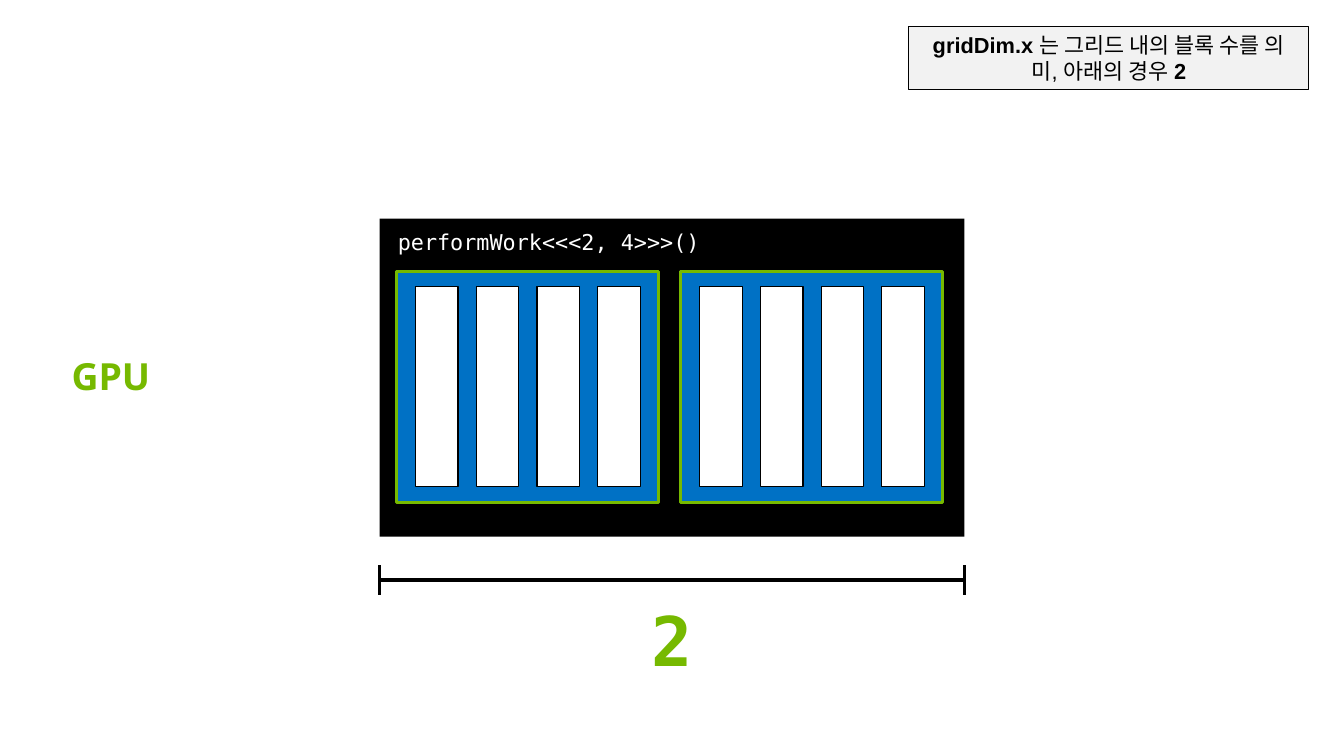
import pptx
import pptx.util
import pptx.dml.color
import pptx.enum.shapes
import pptx.enum.text
import pptx.oxml.ns
import lxml.etree

WIDTH = pptx.util.Inches(12)
HEIGHT = pptx.util.Inches(6.75)
COLORS = {
    "black": "000000",
    "white": "FFFFFF",
    "note": "F2F2F2",
    "green": "76B900",
    "blue": "0071C5",
}
ALIGN = pptx.enum.text.PP_ALIGN
ANCHOR = pptx.enum.text.MSO_ANCHOR
BLOCKS = 2
THREADS = 4


def color(name):
    return pptx.dml.color.RGBColor.from_string(COLORS[name])


def across(percent):
    return round(WIDTH * percent / 100)


def down(percent):
    return round(HEIGHT * percent / 100)


def place(left, top, width, height):
    return across(left), down(top), across(width), down(height)


def add_box(parent, area, fill, outline=None, weight=0.75):
    box = parent.shapes.add_shape(pptx.enum.shapes.MSO_SHAPE.RECTANGLE, *place(*area))
    box.shadow.inherit = False
    box.fill.solid()
    box.fill.fore_color.rgb = color(fill)
    if outline:
        box.line.color.rgb = color(outline)
        box.line.width = pptx.util.Pt(weight)
    else:
        box.line.fill.background()
    return box


def write(box, pieces, font, size, ink, align=ALIGN.LEFT, anchor=ANCHOR.MIDDLE, wrap=True):
    frame = box.text_frame
    frame.word_wrap = wrap
    frame.vertical_anchor = anchor
    paragraph = frame.paragraphs[0]
    paragraph.alignment = align
    paragraph._p.get_or_add_pPr().set("hangingPunct", "0")
    paragraph.font.name = font
    paragraph.font.size = pptx.util.Pt(size)
    paragraph.font.color.rgb = color(ink)
    weights = {bold for _, bold in pieces}
    if len(weights) == 1:
        paragraph.font.bold = weights.pop()
    for words, bold in pieces:
        run = paragraph.add_run()
        run.text = words
        if weights:
            run.font.bold = bold
    return paragraph


def add_label(slide, area, words, font, size, **layout):
    label = slide.shapes.add_textbox(*place(*area))
    return write(label, [(words, True)], font, size, "green", wrap=False, **layout)


def add_rule(parent, x1, y1, x2, y2):
    rule = parent.shapes.add_connector(
        pptx.enum.shapes.MSO_CONNECTOR.STRAIGHT, across(x1), down(y1), across(x2), down(y2))
    rule.line.color.rgb = color("black")
    rule.line.width = pptx.util.Pt(2.25)
    properties = rule._element.find(pptx.oxml.ns.qn("p:spPr"))
    lxml.etree.SubElement(properties, pptx.oxml.ns.qn("a:effectLst"))


def add_kernel_grid(slide, left, right):
    grid = slide.shapes.add_group_shape()
    add_box(grid, (left, 28.93, right - left, 42.07), "black")
    launch = add_box(grid, (28.78, 29.48, 25.5, 5.04), "black")
    write(launch, [("performWork<<<2, 4>>>()", False)], "DejaVu Sans Mono", 14, "white")
    for block in range(BLOCKS):
        block_left = 29.52 + block * 21.14
        add_box(grid, (block_left, 35.92, 19.5, 30.52), "blue", "green", 2)
        for thread in range(THREADS):
            thread_left = block_left + 1.4 + thread * 4.52
            add_box(grid, (thread_left, 37.93, 3.17, 26.46), "white", "black")


def add_span(slide, left, right):
    span = slide.shapes.add_group_shape()
    add_rule(span, left, 76.74, right, 76.74)
    for end in (left, right):
        add_rule(span, end, 74.78, end, 78.67)


def main():
    deck = pptx.Presentation()
    deck.slide_width = WIDTH
    deck.slide_height = HEIGHT
    slide = deck.slides.add_slide(deck.slide_layouts[6])

    note = add_box(slide, (67.63, 3.45, 29.75, 8.44), "note", "black")
    meaning = [("gridDim.x", True), (" 는 그리드 내의 블록 수를 의미, 아래의 경우 ", False), ("2", True)]
    write(note, meaning, "Arial", 14, "black", ALIGN.CENTER, ANCHOR.TOP)

    device = add_label(slide, (4.5, 46.6, 8.08, 6.81), "GPU", "Noto Sans", 24,
                       anchor=ANCHOR.BOTTOM)
    device.line_spacing = 0.9

    left, right = 28.25, 71.75
    add_kernel_grid(slide, left, right)
    add_span(slide, left, right)
    add_label(slide, (47.17, 78.37, 5.67, 12.44), str(BLOCKS), "DejaVu Sans Mono", 44,
              align=ALIGN.CENTER)

    deck.save("out.pptx")


main()
